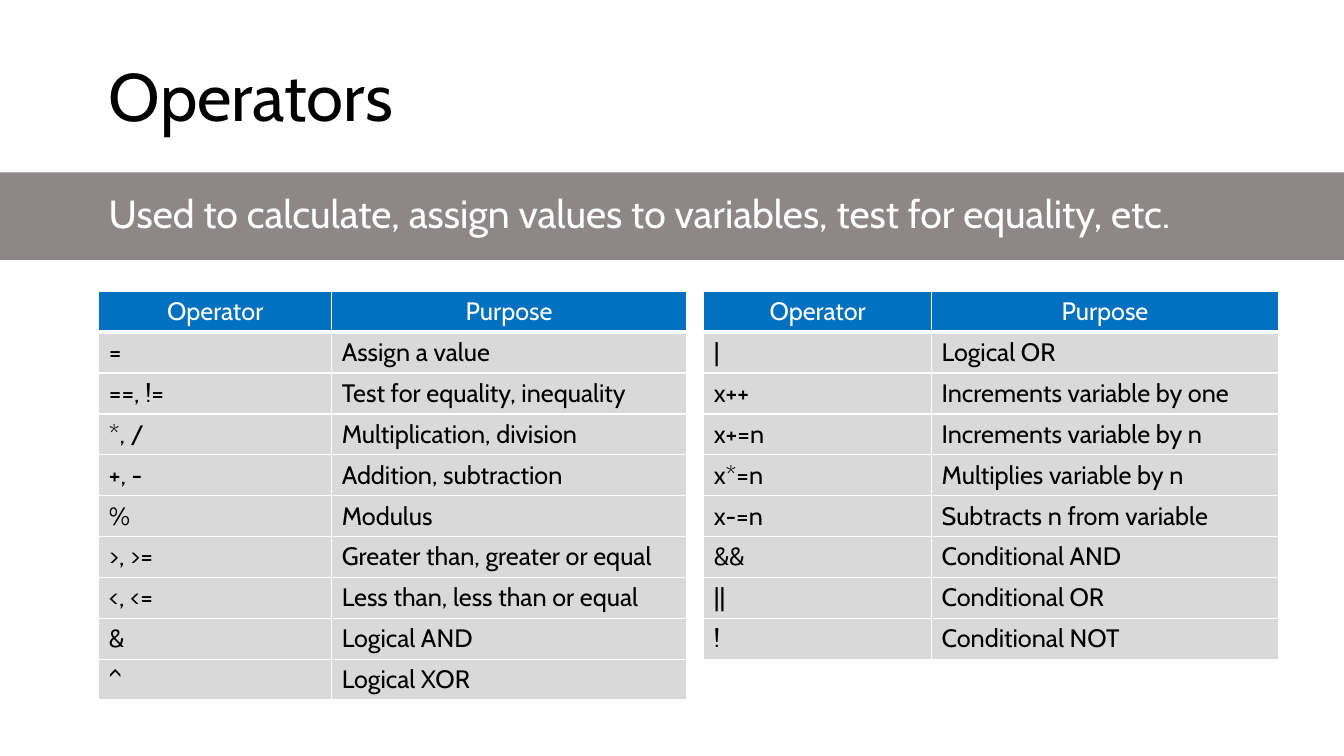
from lxml.etree import SubElement
from pptx import Presentation
from pptx.dml.color import RGBColor
from pptx.enum.shapes import MSO_SHAPE
from pptx.enum.text import MSO_ANCHOR, MSO_AUTO_SIZE, PP_ALIGN
from pptx.oxml.ns import qn
from pptx.util import Inches, Pt

BLACK = RGBColor(0x00, 0x00, 0x00)
WHITE = RGBColor(0xFF, 0xFF, 0xFF)
BAND_GRAY = RGBColor(0x8D, 0x87, 0x87)
HEADER_BLUE = RGBColor(0x00, 0x70, 0xC0)
CELL_GRAY = RGBColor(0xD9, 0xD9, 0xD9)

HEADER = ("Operator", "Purpose")
BASIC_OPERATORS = [
    ("=", "Assign a value"),
    ("==, !=", "Test for equality, inequality"),
    ("*, /", "Multiplication, division"),
    ("+, -", "Addition, subtraction"),
    ("%", "Modulus"),
    (">, >=", "Greater than, greater or equal"),
    ("<, <=", "Less than, less than or equal"),
    ("&", "Logical AND"),
    ("^", "Logical XOR"),
]
MORE_OPERATORS = [
    ("|", "Logical OR"),
    ("x++", "Increments variable by one"),
    ("x+=n", "Increments variable by n"),
    ("x*=n", "Multiplies variable by n"),
    ("x-=n", "Subtracts n from variable"),
    ("&&", "Conditional AND"),
    ("||", "Conditional OR"),
    ("!", "Conditional NOT"),
]


def write(frame, text, size=18, color=BLACK, align=PP_ALIGN.LEFT, spacing=None):
    paragraph = frame.paragraphs[0]
    paragraph.text = text
    paragraph.alignment = align
    paragraph.line_spacing = spacing
    font = paragraph.runs[0].font
    font.name = "Cabin"
    font.size = Pt(size)
    font.bold = False
    font.color.rgb = color


def add_borders(cell, bottom_width):
    """Draw white lines round a cell; call before setting its fill."""
    properties = cell._tc.get_or_add_tcPr()
    for side, width in (("L", 1), ("R", 1), ("T", 1), ("B", bottom_width)):
        line = SubElement(properties, qn(f"a:ln{side}"), w=str(Pt(width)))
        fill = SubElement(line, qn("a:solidFill"))
        SubElement(fill, qn("a:srgbClr"), val=str(WHITE))


class SlideBuilder:
    row_height = Inches(0.4)

    def __init__(self, presentation):
        self.slide = presentation.slides.add_slide(presentation.slide_layouts[5])

    def fit_text(self, holder, text, **style):
        frame = holder.text_frame
        frame.word_wrap = True
        frame.auto_size = MSO_AUTO_SIZE.NONE
        frame.vertical_anchor = MSO_ANCHOR.MIDDLE
        write(frame, text, spacing=0.9, **style)

    def title(self, text, left, top, width, height):
        title = self.slide.shapes.title
        title.left, title.top = Inches(left), Inches(top)
        title.width, title.height = Inches(width), Inches(height)
        self.fit_text(title, text, size=48)

    def band(self, left, top, width, height):
        band = self.slide.shapes.add_shape(
            MSO_SHAPE.RECTANGLE, Inches(left), Inches(top), Inches(width), Inches(height))
        band.shadow.inherit = False
        band.fill.solid()
        band.fill.fore_color.rgb = BAND_GRAY
        band.line.fill.background()

    def subtitle(self, text, left, top, width, height):
        subtitle = self.slide.shapes.add_textbox(
            Inches(left), Inches(top), Inches(width), Inches(height))
        self.fit_text(subtitle, text, size=28, color=WHITE)

    def operator_table(self, operators, left, top, column_widths):
        rows = [HEADER, *operators]
        table = self.slide.shapes.add_table(
            len(rows), len(HEADER), Inches(left), Inches(top),
            Inches(sum(column_widths)), self.row_height * len(rows)).table
        for column, width in zip(table.columns, column_widths):
            column.width = Inches(width)
        for row_index, row in enumerate(rows):
            is_header = row_index == 0
            for column_index, text in enumerate(row):
                cell = table.cell(row_index, column_index)
                add_borders(cell, bottom_width=3 if is_header else 1)
                cell.fill.solid()
                cell.fill.fore_color.rgb = HEADER_BLUE if is_header else CELL_GRAY
                write(cell.text_frame, text,
                      color=WHITE if is_header else BLACK,
                      align=PP_ALIGN.CENTER if is_header else PP_ALIGN.LEFT)


def main():
    presentation = Presentation()
    presentation.slide_width = Inches(13.33)
    presentation.slide_height = Inches(7.5)
    builder = SlideBuilder(presentation)
    builder.title("Operators", 0.98, 0.26, 11.44, 1.45)
    builder.band(0, 1.71, 13.33, 0.87)
    builder.subtitle("Used to calculate, assign values to variables, test for equality, etc.",
                     0.98, 1.71, 11.82, 0.87)
    builder.operator_table(BASIC_OPERATORS, 0.98, 2.89, (2.31, 3.52))
    builder.operator_table(MORE_OPERATORS, 6.98, 2.89, (2.26, 3.44))
    presentation.save("out.pptx")


if __name__ == "__main__":
    main()
